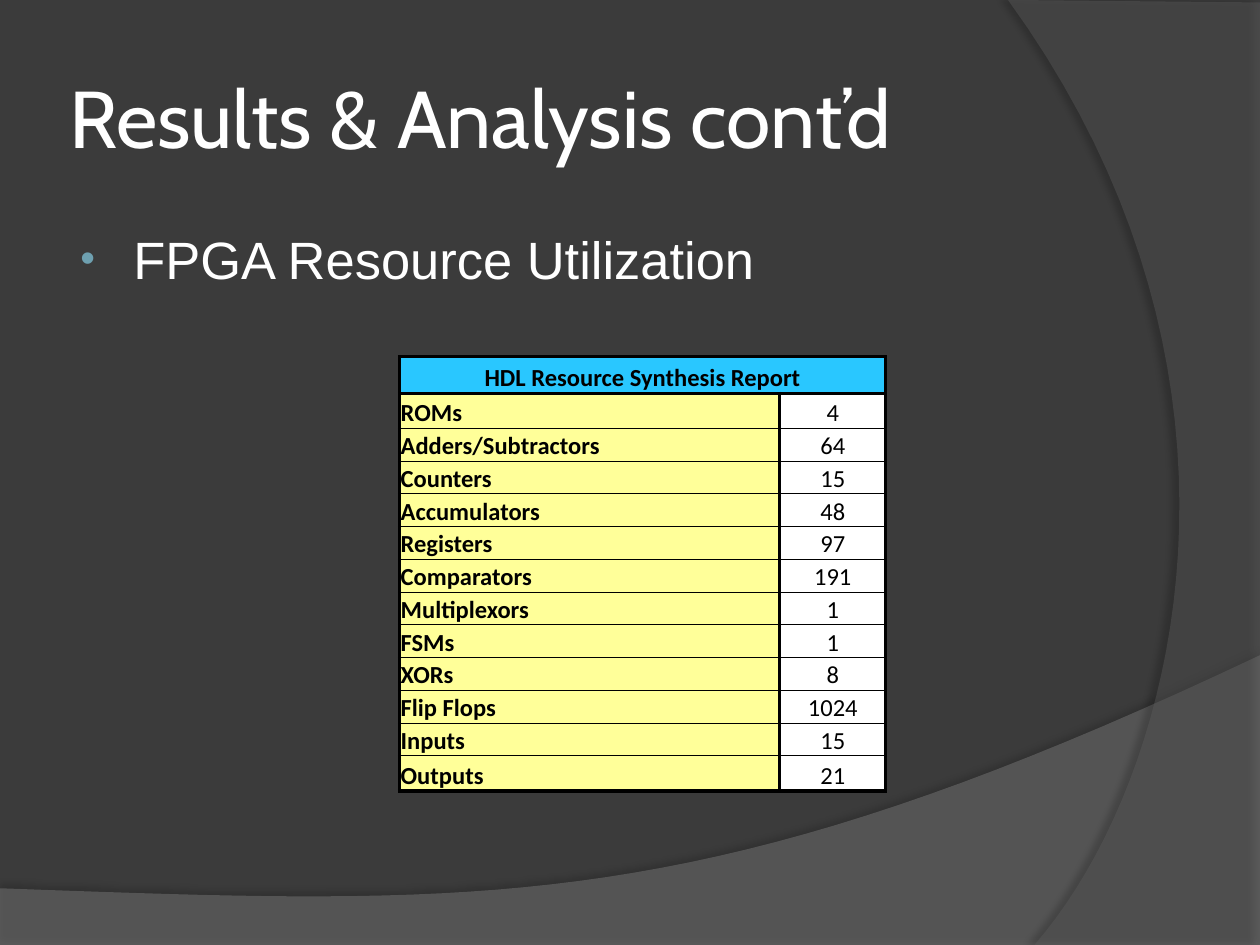
from dataclasses import dataclass

import pptx
import pptx.dml.color
import pptx.enum.text
import pptx.oxml
import pptx.oxml.ns
import pptx.util
from pptx.util import Inches

ANCHOR = pptx.enum.text.MSO_ANCHOR
ALIGN = pptx.enum.text.PP_ALIGN
NAMESPACE = pptx.oxml.ns.nsdecls("a")
CURVE_STEPS = 40

Point = tuple[float, float]


@dataclass(frozen=True)
class Wave:
    start: Point
    corners: list[Point]
    control_1: Point
    control_2: Point
    end: Point
    fill: str
    opacity: int
    shadow_opacity: int
    shadow_distance: float
    shadow_angle: int


@dataclass(frozen=True)
class Resource:
    name: str
    count: str


WAVES = [
    Wave((0, 7.05), [(0, 7.51), (10, 7.51), (10, 5.2)],
         (5.59, 7.29), (3.91, 7.19), (0, 7.05), "7F7F7F", 45, 35, 3.5, 270),
    Wave((10, 0.02), [(10, 7.5), (8.21, 7.5)],
         (9.35, 6.19), (10.18, 3), (8, 0), "5E5E5E", 40, 45, 4, 180),
]

RESOURCES = [
    Resource("ROMs", "4"),
    Resource("Adders/Subtractors", "64"),
    Resource("Counters", "15"),
    Resource("Accumulators", "48"),
    Resource("Registers", "97"),
    Resource("Comparators", "191"),
    Resource("Multiplexors", "1"),
    Resource("FSMs", "1"),
    Resource("XORs", "8"),
    Resource("Flip Flops", "1024"),
    Resource("Inputs", "15"),
    Resource("Outputs", "21"),
]


def paint(target, color: str) -> None:
    target.solid()
    target.fore_color.rgb = pptx.dml.color.RGBColor.from_string(color)


def write(frame, text: str, *, font: str, size: float, color: str = "FFFFFF",
          bold: bool = False, align=ALIGN.LEFT, bullet_color: str = "") -> None:
    paragraph = frame.paragraphs[0]
    paragraph.alignment = align
    if bullet_color:
        properties = paragraph._p.get_or_add_pPr()
        properties.set("marL", str(Inches(0.46)))
        properties.set("indent", str(Inches(-0.42)))
        for element in (
            f'<a:buClr {NAMESPACE}><a:srgbClr val="{bullet_color}"/></a:buClr>',
            f'<a:buSzPct {NAMESPACE} val="80000"/>',
            f'<a:buFont {NAMESPACE} typeface="Arial"/>',
            f'<a:buChar {NAMESPACE} char="•"/>',
        ):
            properties.append(pptx.oxml.parse_xml(element))
    run = paragraph.add_run()
    run.text = text
    run.font.name = font
    run.font.size = pptx.util.Pt(size)
    run.font.bold = bold
    paint(run.font.fill, color)


def curve_points(start: Point, wave: Wave) -> list[Point]:
    points = []
    for step in range(1, CURVE_STEPS + 1):
        t = step / CURVE_STEPS
        weights = ((1 - t) ** 3, 3 * t * (1 - t) ** 2, 3 * t * t * (1 - t), t ** 3)
        anchors = (start, wave.control_1, wave.control_2, wave.end)
        points.append(tuple(
            sum(weight * anchor[axis] for weight, anchor in zip(weights, anchors))
            for axis in (0, 1)))
    return points


def draw_wave(slide, wave: Wave) -> None:
    outline = wave.corners + curve_points(wave.corners[-1], wave)
    builder = slide.shapes.build_freeform(*map(Inches, wave.start))
    builder.add_line_segments([(Inches(x), Inches(y)) for x, y in outline], close=True)
    band = builder.convert_to_shape()
    paint(band.fill, wave.fill)
    band.line.fill.background()
    color = band._element.spPr.find(".//" + pptx.oxml.ns.qn("a:srgbClr"))
    color.append(pptx.oxml.parse_xml(
        f'<a:alpha {NAMESPACE} val="{wave.opacity * 1000}"/>'))
    band._element.spPr.append(pptx.oxml.parse_xml(
        f'<a:effectLst {NAMESPACE}><a:outerShdw blurRad="{pptx.util.Pt(4)}" '
        f'dist="{pptx.util.Pt(wave.shadow_distance)}" '
        f'dir="{wave.shadow_angle * 60000}" algn="ctr" rotWithShape="0">'
        f'<a:srgbClr val="000000"><a:alpha val="{wave.shadow_opacity * 1000}"/>'
        f'</a:srgbClr></a:outerShdw></a:effectLst>'))


def add_text_frame(slide, top: float, height: float, anchor, side_inset: float):
    frame = slide.shapes.add_textbox(
        Inches(0.5), Inches(top), Inches(8.17), Inches(height)).text_frame
    frame.word_wrap = True
    frame.vertical_anchor = anchor
    frame.margin_left = frame.margin_right = Inches(side_inset)
    return frame


def format_cell(cell, fill: str, top: float, bottom: float) -> None:
    cell.vertical_anchor = ANCHOR.BOTTOM
    cell.margin_left = cell.margin_right = cell.margin_top = Inches(0.01)
    cell.margin_bottom = 0
    paint(cell.fill, fill)
    borders = {"lnL": 2, "lnR": 2, "lnT": top, "lnB": bottom}
    for position, (side, width) in enumerate(borders.items()):
        cell._tc.get_or_add_tcPr().insert(position, pptx.oxml.parse_xml(
            f'<a:{side} {NAMESPACE} w="{pptx.util.Pt(width)}"><a:solidFill>'
            f'<a:srgbClr val="000000"/></a:solidFill></a:{side}>'))


def draw_report(slide, resources: list[Resource]) -> None:
    report = slide.shapes.add_table(
        len(resources) + 1, 2, Inches(3.17), Inches(2.83), Inches(3.86), Inches(3.48)).table
    report.columns[0].width = Inches(3.02)
    report.columns[1].width = Inches(0.84)
    last = len(resources)
    tall_rows = {0: 0.29, 1: 0.28, last: 0.28}
    for index, row in enumerate(report.rows):
        row.height = Inches(tall_rows.get(index, 0.26))

    heading = report.cell(0, 0)
    heading.merge(report.cell(0, 1))
    for cell in report.rows[0].cells:
        format_cell(cell, "29C7FF", 2, 2)
    write(heading.text_frame, "HDL Resource Synthesis Report", font="Calibri", size=14,
          color="000000", bold=True, align=ALIGN.CENTER)

    for index, resource in enumerate(resources, start=1):
        name, count = report.rows[index].cells
        for cell, fill in ((name, "FFFF99"), (count, "FFFFFF")):
            format_cell(cell, fill, 2 if index == 1 else 0.5, 2 if index == last else 0.5)
        write(name.text_frame, resource.name, font="Calibri", size=14,
              color="000000", bold=True)
        write(count.text_frame, resource.count, font="Calibri", size=14,
              color="000000", align=ALIGN.CENTER)


def main() -> None:
    deck = pptx.Presentation()
    deck.slide_width, deck.slide_height = Inches(10), Inches(7.5)
    slide = deck.slides.add_slide(deck.slide_layouts[6])
    paint(slide.background.fill, "3B3B3B")
    for wave in WAVES:
        draw_wave(slide, wave)
    title = add_text_frame(slide, 0.3, 1.25, ANCHOR.MIDDLE, 0.05)
    write(title, "Results & Analysis cont’d", font="Cabin", size=46)
    topic = add_text_frame(slide, 1.75, 4.95, ANCHOR.TOP, 0.1)
    write(topic, "FPGA Resource Utilization", font="Arial", size=30, bullet_color="6EA0B0")
    draw_report(slide, RESOURCES)
    deck.save("out.pptx")


if __name__ == "__main__":
    main()
